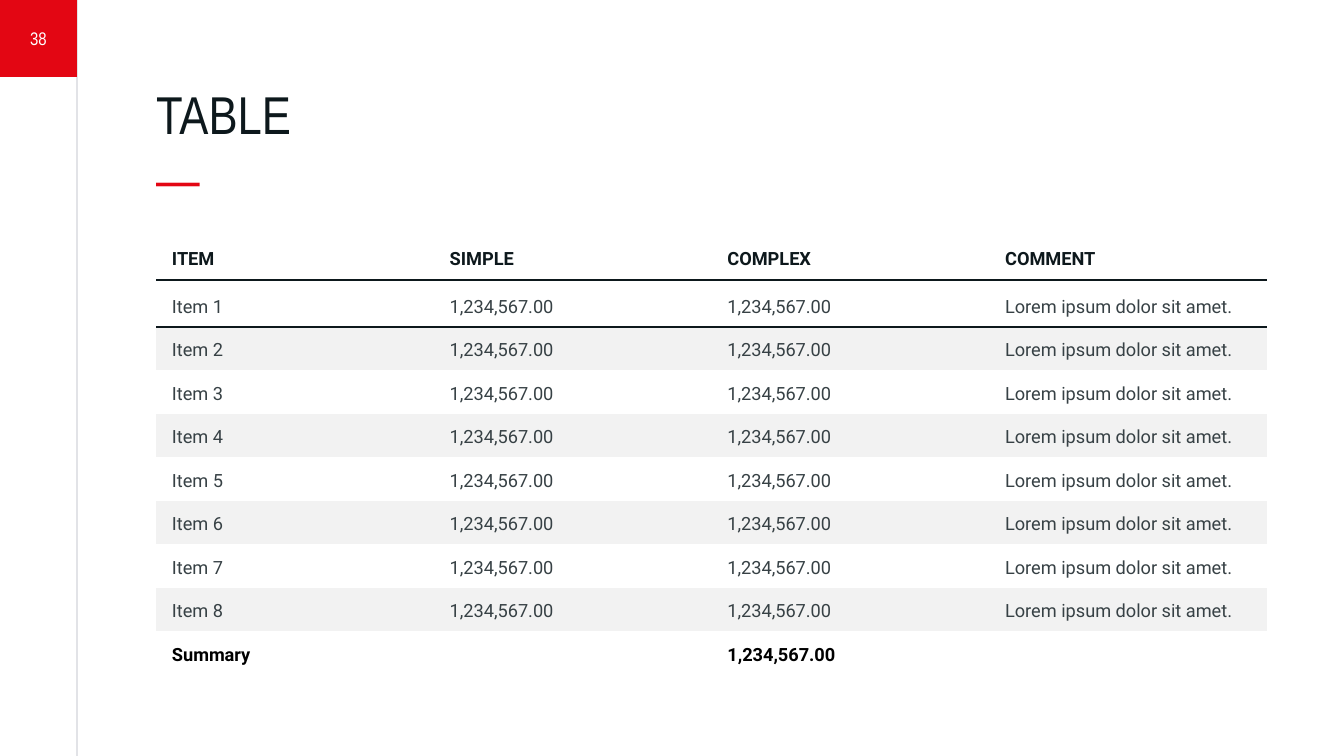
from dataclasses import dataclass
from typing import Any

from lxml.etree import SubElement
from pptx import Presentation
from pptx.dml.color import RGBColor as RGB
from pptx.enum.shapes import MSO_CONNECTOR as CONN, MSO_SHAPE as SHAPE
from pptx.enum.text import MSO_ANCHOR as ANCHOR, MSO_AUTO_SIZE as AUTO, PP_ALIGN as ALIGN
from pptx.oxml import parse_xml
from pptx.oxml.ns import nsdecls, qn
from pptx.util import Pt

EMU_PER_PX = 914400 / 100.8
NO_STYLE = "{2D5ABB26-0587-4C30-8999-92F81FD0307C}"


@dataclass(frozen=True)
class Theme:
    red: str = "E30613"
    ink: str = "0D181C"
    body: str = "374145"
    black: str = "000000"
    white: str = "FFFFFF"
    band: str = "F2F2F2"
    rule: str = "787F92"
    head_font: str = "Arial Narrow"
    body_font: str = "Roboto"
    title_size: int = 38
    text_size: int = 13


@dataclass(frozen=True)
class Row:
    texts: tuple[str, ...]
    color: str
    bold: bool = False
    top: int = 12
    bottom: int = 8
    fill: str = ""
    borders: tuple[str, ...] = ()


T = Theme()
LEFT, WIDTH, RAIL = 156, 1111, 77
TABLE_TOP, HEAD_H, FIRST_H, REST_H = 239, 41, 47, 348
AMOUNT = "1,234,567.00"
ITEMS = [
    Row(
        (f"Item {n}", AMOUNT, AMOUNT, "Lorem ipsum dolor sit amet."),
        T.body,
        top=16 if n == 1 else 12,
        fill="" if n % 2 else T.band,
        borders=("lnT", "lnB") if n == 1 else (),
    )
    for n in range(1, 9)
]
ROWS = [
    Row(("ITEM", "SIMPLE", "COMPLEX", "COMMENT"), T.ink, True, 0, 0, borders=("lnB",)),
    *ITEMS,
    Row(("Summary", "", AMOUNT, ""), T.black, True),
]


def px(n: float) -> int:
    return round(n * EMU_PER_PX)


def set_all(target: Any, values: dict[str, Any]) -> None:
    for name, value in values.items():
        setattr(target, name, value)


def add_run(p: Any, text: str, font: str, size: int, color: str, bold: bool = False) -> None:
    r = p.add_run()
    r.text = text
    set_all(r.font, {"name": font, "size": Pt(size), "bold": bold})
    r.font.color.rgb = RGB.from_string(color)


def add_title(s: Any) -> None:
    sp = s.shapes.title
    set_all(sp, {"left": px(LEFT), "top": px(81), "width": px(WIDTH), "height": px(129)})
    tf = sp.text_frame
    set_all(tf, {
        "margin_left": 0, "margin_top": 0, "margin_right": 0, "margin_bottom": 0,
        "word_wrap": True, "vertical_anchor": ANCHOR.TOP, "auto_size": AUTO.SHAPE_TO_FIT_TEXT,
    })
    p = tf.paragraphs[0]
    set_all(p, {"alignment": ALIGN.LEFT, "line_spacing": 1.0})
    add_run(p, "TABLE", T.head_font, T.title_size, T.ink)
    p.add_line_break()
    add_run(p, "—", T.head_font, T.title_size, T.red)


def add_rail(s: Any) -> None:
    line = s.shapes.add_connector(CONN.STRAIGHT, px(RAIL), 0, px(RAIL), px(756))
    line.line.width = Pt(0.5)
    line.line.color.rgb = RGB.from_string(T.rule)
    clr = line.line._ln.find(".//" + qn("a:srgbClr"))
    SubElement(clr, qn("a:alpha"), val="60000")
    SubElement(line._element.spPr, qn("a:effectLst"))


def add_page_number(s: Any) -> None:
    sp = s.shapes.add_shape(SHAPE.RECTANGLE, 0, 0, px(RAIL), px(RAIL))
    sp.shadow.inherit = False
    sp.fill.solid()
    sp.fill.fore_color.rgb = RGB.from_string(T.red)
    sp.line.fill.background()
    tf = sp.text_frame
    tf.vertical_anchor = ANCHOR.MIDDLE
    p = tf.paragraphs[0]
    p.alignment = ALIGN.CENTER
    add_run(p, "38", T.head_font, T.text_size, T.white)


def add_border(cell: Any, side: str) -> None:
    cell._tc.get_or_add_tcPr().insert(0, parse_xml(
        f'<a:{side} {nsdecls("a")} w="{Pt(2.25)}"><a:solidFill>'
        f'<a:srgbClr val="{T.ink}"/></a:solidFill></a:{side}>'
    ))


def fill_cell(cell: Any, text: str, row: Row) -> None:
    set_all(cell, {
        "margin_left": px(16), "margin_right": px(16), "margin_top": px(row.top),
        "margin_bottom": px(row.bottom), "vertical_anchor": ANCHOR.MIDDLE,
    })
    if row.fill:
        cell.fill.solid()
        cell.fill.fore_color.rgb = RGB.from_string(row.fill)
    else:
        cell.fill.background()
    for side in reversed(row.borders):
        add_border(cell, side)
    p = cell.text_frame.paragraphs[0]
    if text:
        add_run(p, text, T.body_font, T.text_size, row.color, row.bold)
    else:
        SubElement(p._p, qn("a:endParaRPr"), sz=str(T.text_size * 100))


def add_price_table(s: Any) -> None:
    n_cols = len(ROWS[0].texts)
    heights = [HEAD_H, FIRST_H] + [REST_H / (len(ROWS) - 2)] * (len(ROWS) - 2)
    tbl = s.shapes.add_table(
        len(ROWS), n_cols, px(LEFT), px(TABLE_TOP), px(WIDTH), px(sum(heights))
    ).table
    set_all(tbl, {"first_row": False, "horz_banding": False})
    tbl._tbl.tblPr.find(qn("a:tableStyleId")).text = NO_STYLE
    for col in tbl.columns:
        col.width = px(WIDTH / n_cols)
    for i, (row, height) in enumerate(zip(ROWS, heights)):
        tbl.rows[i].height = px(height)
        for j, text in enumerate(row.texts):
            fill_cell(tbl.cell(i, j), text, row)


def main() -> None:
    prs = Presentation()
    set_all(prs, {"slide_width": px(1344), "slide_height": px(756)})
    s = prs.slides.add_slide(prs.slide_layouts[5])
    s.background.fill.solid()
    s.background.fill.fore_color.rgb = RGB.from_string(T.white)
    add_rail(s)
    add_title(s)
    add_price_table(s)
    add_page_number(s)
    prs.save("out.pptx")


if __name__ == "__main__":
    main()
